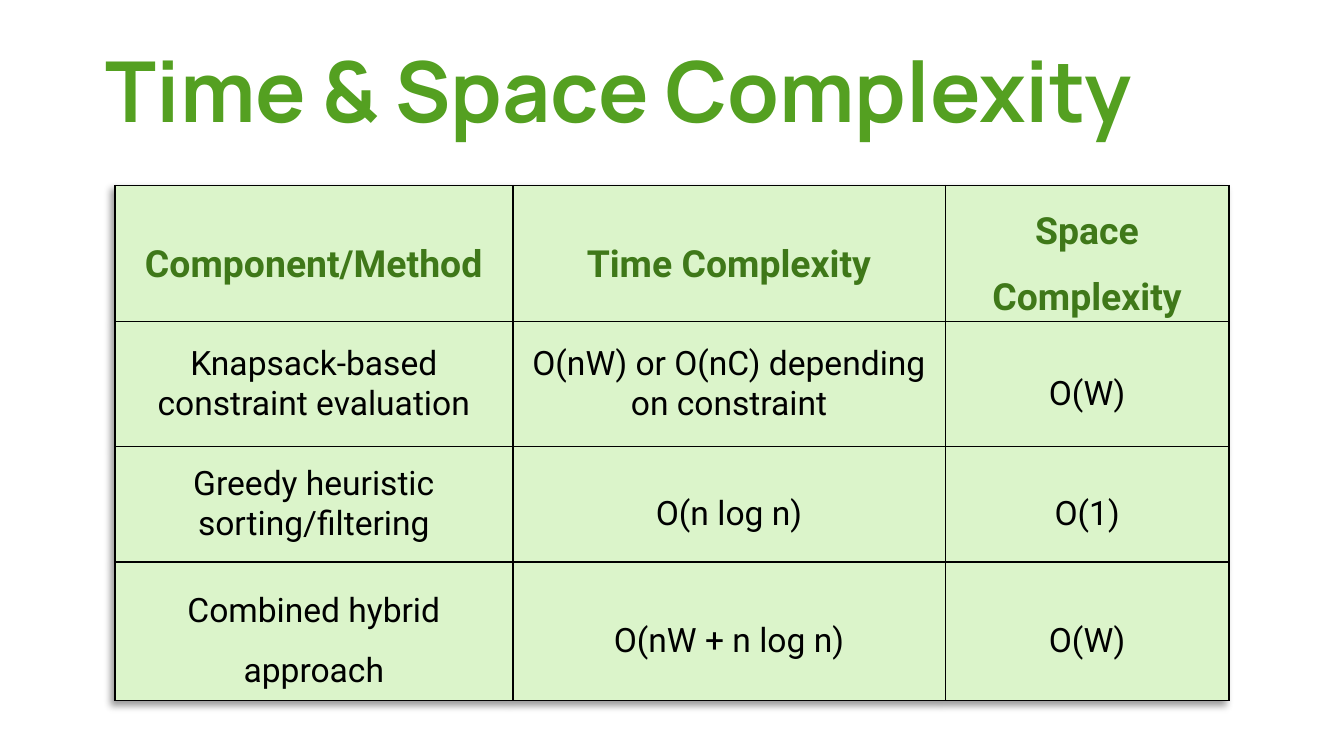
from typing import NamedTuple

from pptx import Presentation
from pptx.dml.color import RGBColor
from pptx.enum.text import MSO_ANCHOR as Anchor, PP_ALIGN as Align
from pptx.oxml import parse_xml
from pptx.oxml.ns import nsdecls
from pptx.util import Pt

TITLE_GREEN = RGBColor(0x54, 0xA0, 0x21)
HEADER_GREEN = RGBColor(0x3F, 0x78, 0x19)
CELL_GREEN = RGBColor(0xDB, 0xF4, 0xCA)
BLACK = RGBColor(0, 0, 0)


class Entry(NamedTuple):
    text: str
    spacing: float = 1.5


class TextStyle(NamedTuple):
    font: str
    size: float
    color: RGBColor
    bold: bool = False


TITLE = TextStyle("Manrope", 45, TITLE_GREEN, True)
HEADER = TextStyle("Roboto", 20, HEADER_GREEN, True)
BODY = TextStyle("Roboto", 18, BLACK)

COL_WIDTHS = (213.1, 231.8, 151.9)
ROW_HEIGHTS = (51.8, 67, 61.9, 74.2)
ROWS = (
    (Entry("Component/Method"), Entry("Time Complexity"), Entry("Space Complexity")),
    (Entry("Knapsack-based constraint evaluation", 1),
     Entry("O(nW) or O(nC) depending on constraint", 1), Entry("O(W)")),
    (Entry("Greedy heuristic sorting/filtering", 1), Entry("O(n log n)"), Entry("O(1)")),
    (Entry("Combined hybrid approach"), Entry("O(nW + n log n)"), Entry("O(W)")),
)


def write(p, text: str, style: TextStyle) -> None:
    p.text = text
    p.font.name = style.font
    p.font.size = Pt(style.size)
    p.font.bold = style.bold
    p.font.color.rgb = style.color


def add_borders(cell) -> None:
    tc_pr = cell._tc.get_or_add_tcPr()
    for side in ("lnL", "lnR", "lnT", "lnB"):
        tc_pr.append(parse_xml(
            f'<a:{side} {nsdecls("a")} w="{Pt(1)}"><a:solidFill>'
            f'<a:srgbClr val="{BLACK}"/></a:solidFill></a:{side}>'))


def add_table_shadow(table) -> None:
    table._tbl.tblPr.insert(0, parse_xml(
        f'<a:effectLst {nsdecls("a")}><a:outerShdw blurRad="{Pt(4)}" dist="{Pt(3)}" '
        f'dir="8100000"><a:srgbClr val="{BLACK}"><a:alpha val="40000"/>'
        '</a:srgbClr></a:outerShdw></a:effectLst>'))


def fill_cell(cell, entry: Entry, style: TextStyle) -> None:
    add_borders(cell)
    cell.fill.solid()
    cell.fill.fore_color.rgb = CELL_GREEN
    cell.vertical_anchor = Anchor.MIDDLE
    cell.margin_left = cell.margin_right = Pt(0.75)
    cell.margin_top = cell.margin_bottom = Pt(0.4)
    p = cell.text_frame.paragraphs[0]
    p.alignment = Align.CENTER
    p.line_spacing = float(entry.spacing)
    write(p, entry.text, style)


def add_title(s) -> None:
    """Add the title in a box that holds it on one line above the table."""
    tf = s.shapes.add_textbox(Pt(49.7), Pt(9), Pt(616), Pt(77)).text_frame
    tf.word_wrap = True
    tf.vertical_anchor = Anchor.MIDDLE
    tf.margin_left = tf.margin_right = tf.margin_top = tf.margin_bottom = Pt(7.2)
    write(tf.paragraphs[0], "Time & Space Complexity", TITLE)


def add_complexity_table(s) -> None:
    table = s.shapes.add_table(
        len(ROWS), len(COL_WIDTHS), Pt(61.6), Pt(99.4),
        Pt(sum(COL_WIDTHS)), Pt(sum(ROW_HEIGHTS))).table
    table.horz_banding = False
    add_table_shadow(table)
    for column, width in zip(table.columns, COL_WIDTHS):
        column.width = Pt(width)
    for i, (row, height) in enumerate(zip(table.rows, ROW_HEIGHTS)):
        row.height = Pt(height)
        for cell, entry in zip(row.cells, ROWS[i]):
            fill_cell(cell, entry, BODY if i else HEADER)


def main() -> None:
    prs = Presentation()
    prs.slide_width, prs.slide_height = Pt(720), Pt(405)
    s = prs.slides.add_slide(prs.slide_layouts[6])
    add_title(s)
    add_complexity_table(s)
    prs.save("out.pptx")


if __name__ == "__main__":
    main()
